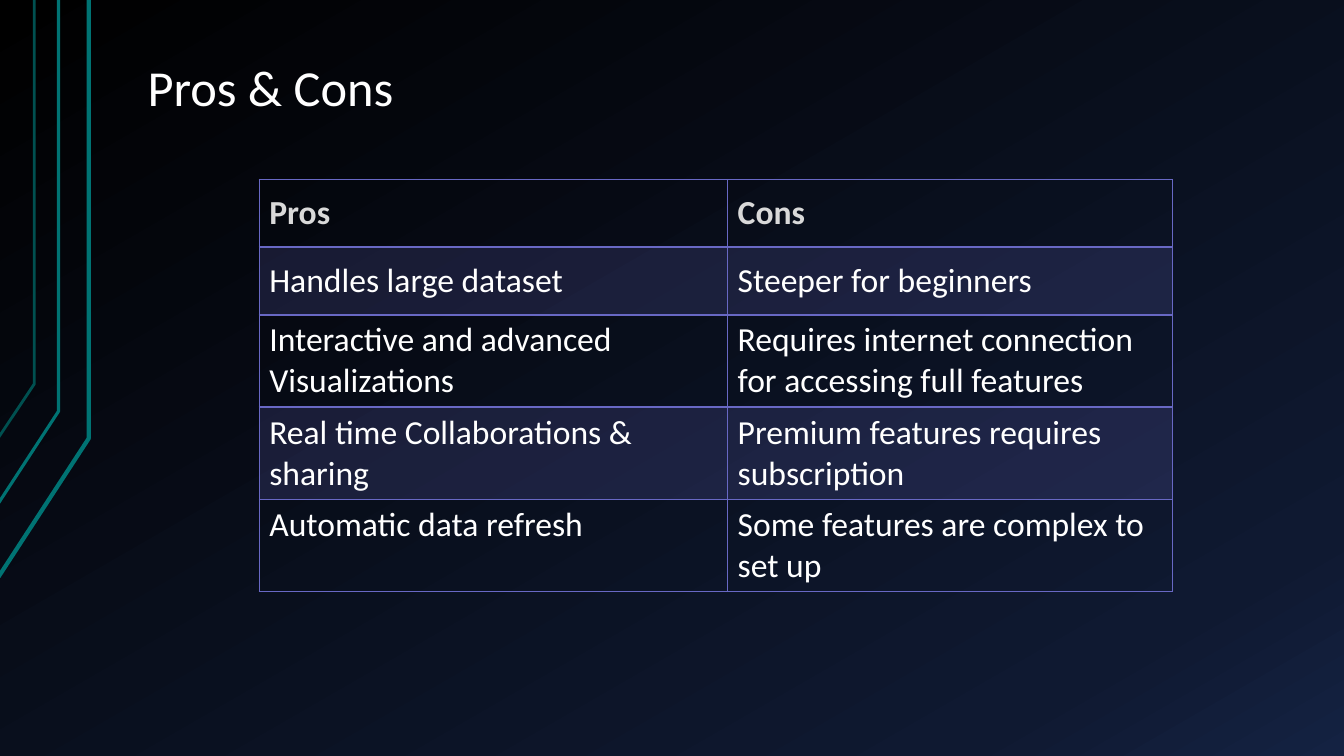
from copy import deepcopy

from lxml import etree
from pptx import Presentation
from pptx.dml.color import RGBColor
from pptx.enum.text import MSO_ANCHOR, MSO_AUTO_SIZE, PP_ALIGN
from pptx.oxml.ns import qn
from pptx.util import Pt

MIDDLE, TOP, BOTTOM = MSO_ANCHOR.MIDDLE, MSO_ANCHOR.TOP, MSO_ANCHOR.BOTTOM
LEFT, JUSTIFY = PP_ALIGN.LEFT, PP_ALIGN.JUSTIFY
NO_AUTOFIT = MSO_AUTO_SIZE.NONE

BLACK = RGBColor(0x00, 0x00, 0x00)
NAVY = RGBColor(0x0F, 0x19, 0x31)
BLUE = RGBColor(0x14, 0x22, 0x42)
TEAL = RGBColor(0x00, 0x73, 0x73)
DARK_TEAL = RGBColor(0x00, 0x50, 0x50)
PURPLE = RGBColor(0x68, 0x68, 0xC4)
WHITE = RGBColor(0xFF, 0xFF, 0xFF)
GREY = RGBColor(0xD9, 0xD9, 0xD9)
FONT = "Calibri"


def style_runs(p, size, color, bold=False):
    for r in p.runs:
        r.font.name = FONT
        r.font.size = Pt(size)
        r.font.color.rgb = color
        r.font.bold = bold


def add_borders(cell, widths):
    """Draw the cell's edges; widths maps L, R, T and B to points."""
    tcPr = cell._tc.get_or_add_tcPr()
    for i, (side, width) in enumerate(widths.items()):
        ln = etree.Element(qn(f"a:ln{side}"), w=str(Pt(width)))
        fill = etree.SubElement(ln, qn("a:solidFill"))
        etree.SubElement(fill, qn("a:srgbClr"), val=str(PURPLE))
        tcPr.insert(i, ln)


prs = Presentation()
prs.slide_width, prs.slide_height = Pt(960), Pt(540)
s = prs.slides.add_slide(prs.slide_layouts[5])

# Background gradient
bg = s.background.fill
bg.gradient()
bg.gradient_angle = 300
gs_list = s.element.find(".//" + qn("a:gsLst"))
gs_list.append(deepcopy(gs_list[-1]))
for stop, (position, color) in zip(bg.gradient_stops, [(0, BLACK), (0.85, NAVY), (1, BLUE)]):
    stop.position = position
    stop.color.rgb = color

# Bent lines at the left edge: x, bend y, end y, width, colour
for x, bend, end, width, color in [
    (63.4, 313.2, 412, 3, TEAL),
    (41.8, 293.8, 359.3, 2.25, TEAL),
    (24.5, 274.3, 312.5, 2, DARK_TEAL),
]:
    builder = s.shapes.build_freeform(Pt(-1), Pt(end))
    builder.add_line_segments([(Pt(x), Pt(bend)), (Pt(x), 0)], close=False)
    bent_line = builder.convert_to_shape()
    bent_line.shadow.inherit = False
    bent_line.fill.background()
    bent_line.line.color.rgb = color
    bent_line.line.width = Pt(width)

# Title
title = s.shapes.title
title.left, title.top, title.width, title.height = Pt(96), Pt(21.6), Pt(816), Pt(67)
tf = title.text_frame
tf.text = "Pros & Cons"
tf.auto_size = NO_AUTOFIT
tf.vertical_anchor = BOTTOM
tf.margin_left = tf.margin_right = Pt(9.4)
tf.margin_top = tf.margin_bottom = Pt(5)
p = tf.paragraphs[0]
p.alignment = LEFT
p.line_spacing = 0.9
style_runs(p, 36, WHITE)

# Table
rows = [
    ("Pros", "Cons"),
    ("Handles large dataset", "Steeper for beginners"),
    ("Interactive and advanced Visualizations",
     "Requires internet connection for accessing full features"),
    ("Real time Collaborations & sharing", "Premium features requires subscription"),
    ("Automatic data refresh", "Some features are complex to set up"),
]
ROW_HEIGHT = 48.4
table = s.shapes.add_table(len(rows), 2, Pt(185.2), Pt(128.2), Pt(652.3),
                           Pt(ROW_HEIGHT * len(rows))).table
table.first_row = table.horz_banding = False
table.columns[0].width, table.columns[1].width = Pt(334.6), Pt(317.7)
for i, texts in enumerate(rows):
    table.rows[i].height = Pt(ROW_HEIGHT)
    for j, text in enumerate(texts):
        cell = table.cell(i, j)
        cell.text = text
        cell.vertical_anchor = MIDDLE if i < 2 else TOP
        p = cell.text_frame.paragraphs[0]
        p.alignment = JUSTIFY if i < 2 else LEFT
        style_runs(p, 24, WHITE if i else GREY, bold=i == 0)
        if i % 2:
            cell.fill.solid()
            cell.fill.fore_color.rgb = PURPLE
            color = cell._tc.tcPr.find(".//" + qn("a:srgbClr"))
            etree.SubElement(color, qn("a:alpha"), val="20000")
        else:
            cell.fill.background()
        add_borders(cell, {"L": 1, "R": 1, "T": 2 if i == 1 else 1, "B": 1 if i else 2})

prs.save("out.pptx")
